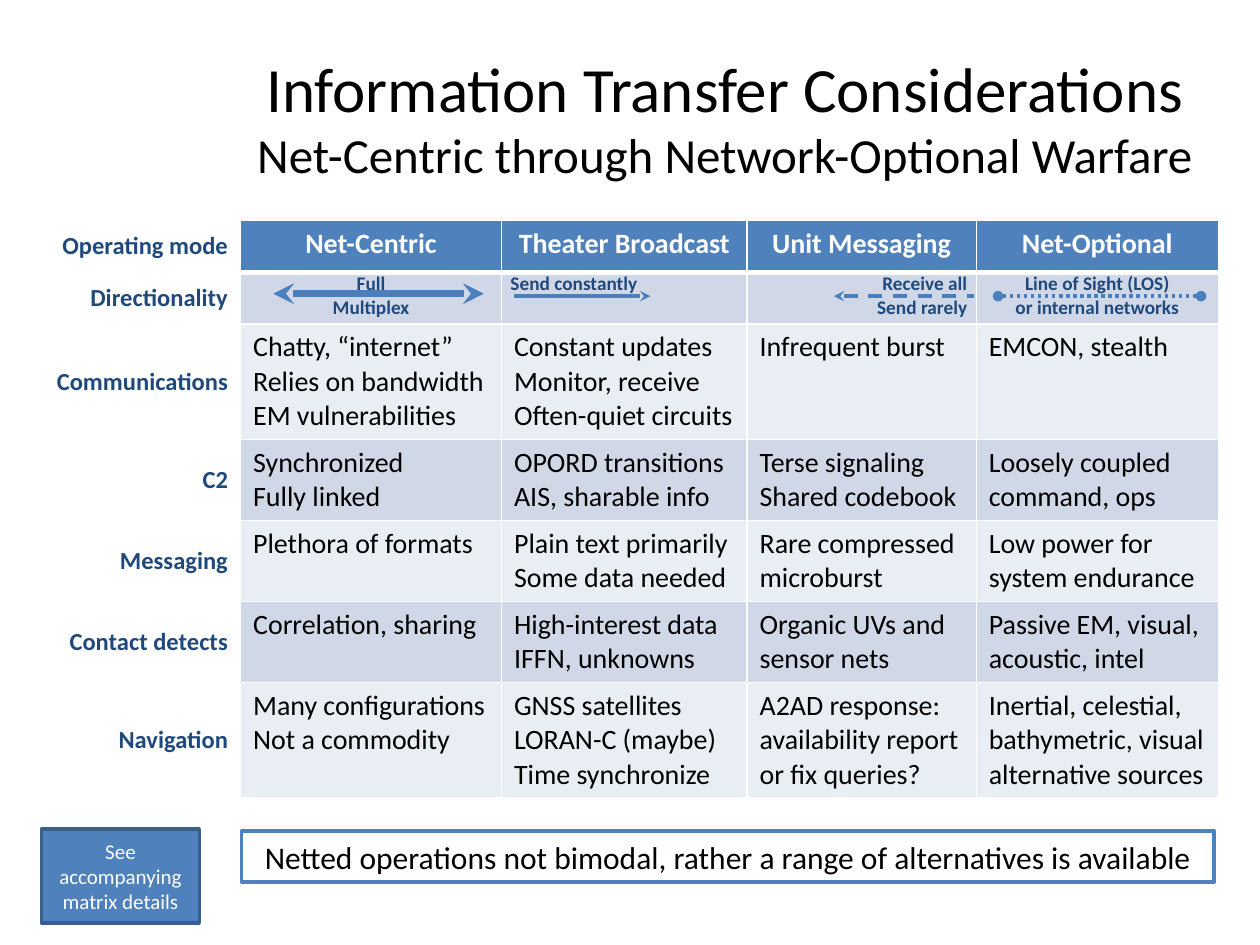
from lxml.etree import SubElement
from pptx import Presentation
from pptx.dml.color import RGBColor as Rgb
from pptx.enum.dml import MSO_LINE as Dash
from pptx.enum.shapes import MSO_CONNECTOR as Link, MSO_SHAPE as Preset
from pptx.enum.text import MSO_ANCHOR as Anchor, PP_ALIGN as Align
from pptx.oxml.ns import qn
from pptx.util import Cm, Pt

COLOURS = {
    "black": "000000", "white": "FFFFFF", "navy": "1F497D", "blue": "4F81BD",
    "arrow": "4B7EBC", "edge": "3A5F8C", "dark band": "D0D8E8", "light band": "E9EDF4",
}
LEFT, MIDDLE, RIGHT = Align.LEFT, Align.CENTER, Align.RIGHT

COLUMN_WIDTHS = [4.01, 5.26, 4.95, 4.62, 4.88]
ROW_HEIGHT = 1.04
ROWS = [
    ["Operating mode", "Net-Centric", "Theater Broadcast", "Unit Messaging", "Net-Optional"],
    ["Directionality", "Full\nMultiplex", "Send constantly",
     "Receive all\nSend rarely", "Line of Sight (LOS)\nor internal networks"],
    ["Communications", "Chatty, “internet”\nRelies on bandwidth\nEM vulnerabilities",
     "Constant updates\nMonitor, receive Often-quiet circuits",
     "Infrequent burst", "EMCON, stealth"],
    ["C2", "Synchronized\nFully linked", "OPORD transitions\nAIS, sharable info",
     "Terse signaling\nShared codebook", "Loosely coupled command, ops"],
    ["Messaging", "Plethora of formats", "Plain text primarily\nSome data needed",
     "Rare compressed microburst", "Low power for system endurance"],
    ["Contact detects", "Correlation, sharing", "High-interest data\nIFFN, unknowns",
     "Organic UVs and sensor nets", "Passive EM, visual, acoustic, intel"],
    ["Navigation", "Many configurations\nNot a commodity",
     "GNSS satellites\nLORAN-C (maybe)\nTime synchronize",
     "A2AD response: availability report or fix queries?",
     "Inertial, celestial, bathymetric, visual alternative sources"],
]
DIRECTION_ALIGNS = [MIDDLE, LEFT, RIGHT, MIDDLE]
ARROWS = [
    (5.51, 9.75, 5.92, 4, None, "stealth", "stealth"),
    (10.36, 13.11, 5.97, 2, None, None, "stealth"),
    (16.81, 19.63, 5.97, 2, Dash.DASH, "stealth", None),
    (20.12, 24.21, 5.97, 2, Dash.ROUND_DOT, "oval", "oval"),
]


class SlideStyle:
    def __init__(self, page, font="Calibri"):
        self.page = page
        self.font = font

    def colour(self, name):
        return Rgb.from_string(COLOURS[name])

    def format_span(self, span, size, colour, bold=False):
        values = {"name": self.font, "size": Pt(size), "bold": bold}
        for key, value in values.items():
            setattr(span.font, key, value)
        span.font.color.rgb = self.colour(colour)

    def add_text(self, frame, text, align, size, colour, bold=False):
        for index, line in enumerate(text.split("\n")):
            para = frame.add_paragraph() if index else frame.paragraphs[0]
            para.alignment = align
            span = para.add_run()
            span.text = line
            self.format_span(span, size, colour, bold)

    def title(self, lines, left, top, width, height):
        box = self.page.shapes.title
        place = {"left": left, "top": top, "width": width, "height": height}
        for key, value in place.items():
            setattr(box, key, Cm(value))
        box.text_frame.vertical_anchor = Anchor.MIDDLE
        para = box.text_frame.paragraphs[0]
        para.alignment = MIDDLE
        for index, (line, size) in enumerate(lines):
            if index:
                para.add_line_break()
            span = para.add_run()
            span.text = line
            self.format_span(span, size, "black")

    def borders(self, cell, top, bottom):
        properties = cell._tc.get_or_add_tcPr()
        weights = {"a:lnL": 1, "a:lnR": 1, "a:lnT": top, "a:lnB": bottom}
        for index, (tag, weight) in enumerate(weights.items()):
            border = SubElement(properties, qn(tag), w=str(Pt(weight)))
            fill = SubElement(border, qn("a:solidFill"))
            SubElement(fill, qn("a:srgbClr"), val=COLOURS["white"])
            properties.insert(index, border)

    def cell(self, cell, row, column, text):
        text_format = {"align": LEFT, "size": 16, "colour": "black"}
        values = {}
        fill = "light band" if row % 2 == 0 else "dark band"
        if column == 0:
            text_format = {"align": RIGHT, "size": 14, "colour": "navy", "bold": True}
            values = {"vertical_anchor": Anchor.MIDDLE}
            fill = None
        elif row == 0:
            text_format = {"align": MIDDLE, "size": 16, "colour": "white", "bold": True}
            fill = "blue"
        elif row == 1:
            text_format = {"align": DIRECTION_ALIGNS[column - 1], "size": 11,
                           "colour": "navy", "bold": True}
            values = {"margin_left": Cm(0.18), "margin_right": Cm(0.18),
                      "margin_top": 0, "margin_bottom": 0}
        for key, value in values.items():
            setattr(cell, key, value)
        self.add_text(cell.text_frame, text, **text_format)
        if fill:
            cell.fill.solid()
            cell.fill.fore_color.rgb = self.colour(fill)
        else:
            cell.fill.background()
        self.borders(cell, top=3 if row == 1 else 1, bottom=3 if row == 0 else 1)

    def table(self, rows, widths, left, top):
        table = self.page.shapes.add_table(
            len(rows), len(widths), Cm(left), Cm(top),
            Cm(sum(widths)), Cm(ROW_HEIGHT * len(rows))).table
        for column, width in zip(table.columns, widths):
            column.width = Cm(width)
        for row, texts in enumerate(rows):
            for column, text in enumerate(texts):
                self.cell(table.cell(row, column), row, column, text)

    def arrow(self, start, end, y, weight, dash, head, tail):
        connector = self.page.shapes.add_connector(
            Link.STRAIGHT, Cm(start), Cm(y), Cm(end), Cm(y))
        connector.line.color.rgb = self.colour("arrow")
        connector.line.width = Pt(weight)
        if dash:
            connector.line.dash_style = dash
        properties = connector._element.spPr
        outline = properties.find(qn("a:ln"))
        for tag, kind in (("a:headEnd", head), ("a:tailEnd", tail)):
            if kind:
                SubElement(outline, qn(tag), type=kind)
        SubElement(properties, qn("a:effectLst"))

    def box(self, text, place, size, colour, fill, edge, weight):
        box = self.page.shapes.add_shape(Preset.RECTANGLE, *map(Cm, place))
        box.shadow.inherit = False
        if fill:
            box.fill.solid()
            box.fill.fore_color.rgb = self.colour(fill)
        else:
            box.fill.background()
        box.line.color.rgb = self.colour(edge)
        box.line.width = Pt(weight)
        frame = box.text_frame
        for key, value in {"word_wrap": True, "vertical_anchor": Anchor.MIDDLE}.items():
            setattr(frame, key, value)
        self.add_text(frame, text, MIDDLE, size, colour)


def main():
    deck = Presentation()
    deck.slide_width, deck.slide_height = Cm(25.4), Cm(19.05)
    style = SlideStyle(deck.slides.add_slide(deck.slide_layouts[5]))
    style.title([("Information Transfer Considerations", 36),
                 ("Net-Centric through Network-Optional Warfare", 28)],
                4.87, 0.76, 19.48, 3.18)
    style.table(ROWS, COLUMN_WIDTHS, 0.84, 4.45)
    for arrow in ARROWS:
        style.arrow(*arrow)
    style.box("Netted operations not bimodal, rather a range of alternatives is available",
              (4.87, 16.76, 19.61, 1.02), 18, "black", None, "blue", 2.25)
    style.box("See\naccompanying\nmatrix details",
              (0.84, 16.71, 3.18, 1.9), 12, "white", "blue", "edge", 2)
    deck.save("out.pptx")


if __name__ == "__main__":
    main()
